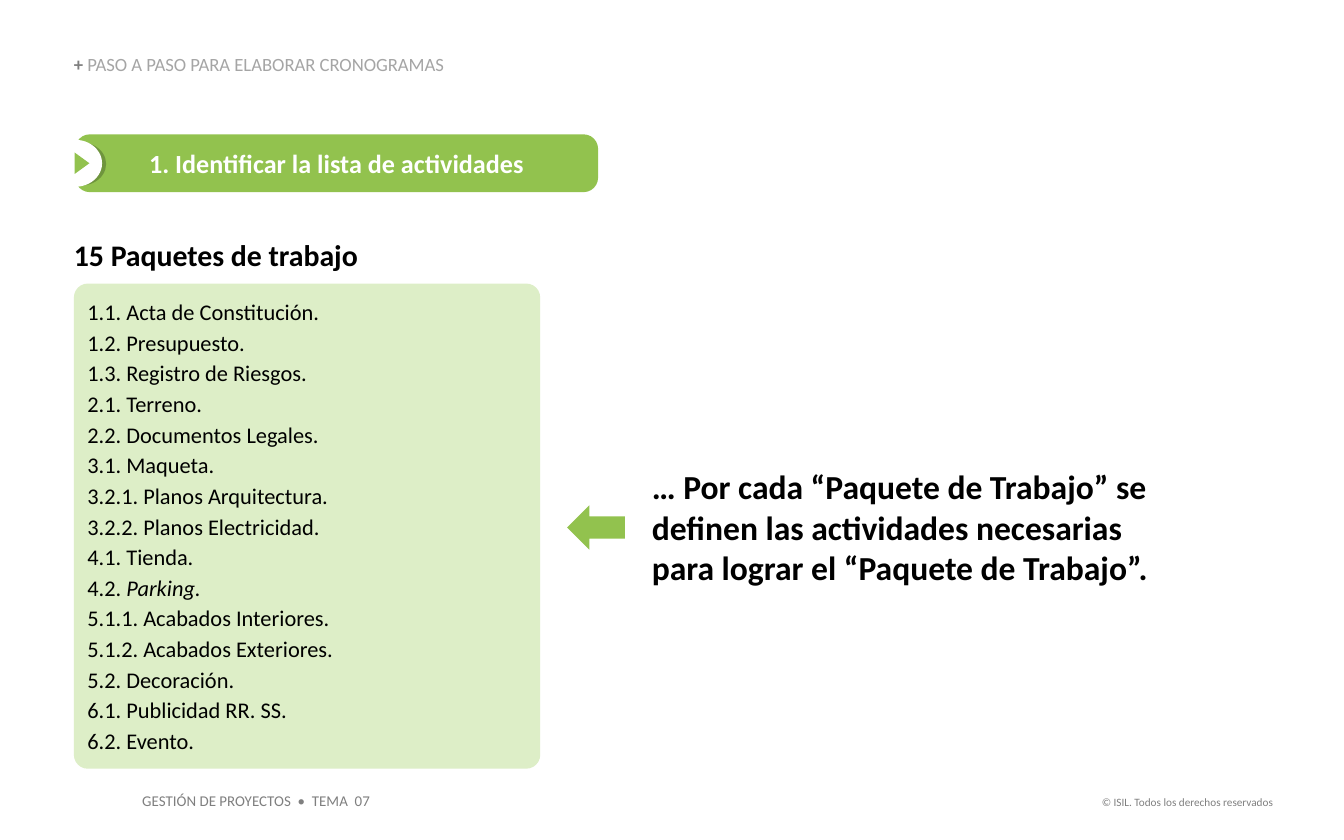
from lxml import etree
from pptx import Presentation
from pptx import util as u
from pptx.dml import color
from pptx.enum import shapes, text

SCALE = 9144
FONT = "Calibri"
GREEN, SHADE, PALE = "92C24E", "6F953D", "DDEEC7"
BLACK, WHITE, GRAY, LIGHT_GRAY = "000000", "FFFFFF", "7F7F7F", "A5A5A5"
INSETS = (10, 5, 10, 5)
PACKAGES = [
    "1.1. Acta de Constitución.",
    "1.2. Presupuesto.",
    "1.3. Registro de Riesgos.",
    "2.1. Terreno.",
    "2.2. Documentos Legales.",
    "3.1. Maqueta.",
    "3.2.1. Planos Arquitectura.",
    "3.2.2. Planos Electricidad.",
    "4.1. Tienda.",
    "4.2. Parking.",
    "5.1.1. Acabados Interiores.",
    "5.1.2. Acabados Exteriores.",
    "5.2. Decoración.",
    "6.1. Publicidad RR. SS.",
    "6.2. Evento.",
]
ITALIC_WORD = "Parking."


def px(value):
    return u.Emu(value * SCALE)


def rgb(value):
    return color.RGBColor.from_string(value)


class SlideBuilder:
    def __init__(self, slide):
        self.slide = slide

    def place(self, shape, box):
        shape.left, shape.top, shape.width, shape.height = map(px, box)

    def frame(self, shape, insets, anchor):
        frame = shape.text_frame
        frame.word_wrap = True
        frame.auto_size = text.MSO_AUTO_SIZE.NONE
        frame.vertical_anchor = anchor
        (frame.margin_left, frame.margin_top,
         frame.margin_right, frame.margin_bottom) = map(px, insets)
        return frame

    def style(self, run, size, fill, bold=False, italic=False):
        font = run.font
        font.name, font.size = FONT, u.Pt(size)
        font.bold, font.italic = bold, italic
        font.color.rgb = rgb(fill)

    def caption(self, shape, words, size, fill, bold=False, align=text.PP_ALIGN.LEFT,
                insets=(0, 0, 0, 0), anchor=text.MSO_ANCHOR.TOP):
        frame = self.frame(shape, insets, anchor)
        frame.text = words
        paragraph = frame.paragraphs[0]
        paragraph.alignment = align
        self.style(paragraph.runs[0], size, fill, bold)

    def label(self, box, words, size, fill, **options):
        shape = self.slide.shapes.add_textbox(*map(px, box))
        self.caption(shape, words, size, fill, **options)

    def shape(self, kind, box, fill, rotation=0, corner=None):
        shape = self.slide.shapes.add_shape(kind, *map(px, box))
        shape.shadow.inherit = False
        shape.fill.solid()
        shape.fill.fore_color.rgb = rgb(fill)
        shape.line.fill.background()
        shape.rotation = rotation
        if corner is not None:
            shape.adjustments[0] = corner
        return shape

    def title(self, box, pieces, size):
        shape = self.slide.shapes.title
        self.place(shape, box)
        frame = self.frame(shape, (0, 0, 0, 0), text.MSO_ANCHOR.BOTTOM)
        paragraph = frame.paragraphs[0]
        paragraph.alignment = text.PP_ALIGN.LEFT
        paragraph.line_spacing = 0.9
        for words, fill, bold in pieces:
            run = paragraph.add_run()
            run.text = words
            self.style(run, size, fill, bold)

    def body(self, box, items, size, gap):
        shape = self.slide.placeholders[1]
        self.slide.shapes._spTree.append(shape._element)
        self.place(shape, box)
        frame = self.frame(shape, INSETS, text.MSO_ANCHOR.MIDDLE)
        for index, item in enumerate(items):
            paragraph = frame.add_paragraph() if index else frame.paragraphs[0]
            properties = paragraph._p.get_or_add_pPr()
            properties.set("marL", "0")
            properties.set("indent", "0")
            namespace = etree.QName(properties).namespace
            etree.SubElement(properties, f"{{{namespace}}}buNone")
            paragraph.space_before = u.Pt(gap if index else 0)
            plain, word, _ = item.partition(ITALIC_WORD)
            for words in filter(None, (plain, word)):
                run = paragraph.add_run()
                run.text = words
                self.style(run, size, BLACK, italic=words == ITALIC_WORD)


def main():
    presentation = Presentation()
    presentation.slide_width, presentation.slide_height = px(1000), px(625)
    slide = presentation.slides.add_slide(presentation.slide_layouts[1])
    builder = SlideBuilder(slide)
    kinds = shapes.MSO_SHAPE

    builder.label((791, 587, 166, 20), "© ISIL. Todos los derechos reservados", 6, GRAY,
                  align=text.PP_ALIGN.RIGHT, insets=INSETS)
    builder.label((96, 584, 190, 24), "GESTIÓN DE PROYECTOS  •  TEMA  07", 8, GRAY,
                  insets=INSETS)
    builder.title((55, 41, 334, 15),
                  [("+ ", GRAY, True),
                   ("PASO A PASO PARA ELABORAR CRONOGRAMAS", LIGHT_GRAY, False)], 10)

    banner = builder.shape(kinds.ROUNDED_RECTANGLE, (56, 100, 389, 43), GREEN, corner=0.25)
    builder.caption(banner, "1. Identificar la lista de actividades", 14, WHITE, bold=True,
                    align=text.PP_ALIGN.CENTER, insets=INSETS, anchor=text.MSO_ANCHOR.MIDDLE)
    builder.shape(kinds.OVAL, (42, 106, 37, 32), SHADE)
    builder.shape(kinds.OVAL, (36, 104, 40, 35), WHITE)
    builder.shape(kinds.ISOSCELES_TRIANGLE, (53, 116, 16, 11), GREEN, rotation=90)

    builder.label((55, 176, 390, 27), "15 Paquetes de trabajo", 16, BLACK, bold=True)
    panel = (55, 211, 347, 361)
    builder.shape(kinds.ROUNDED_RECTANGLE, panel, PALE, corner=0.03)
    builder.body(panel, PACKAGES, 12, 2)

    builder.shape(kinds.RIGHT_ARROW, (422, 376, 43, 33), GREEN, rotation=180)
    builder.label((485, 347, 385, 91),
                  "… Por cada “Paquete de Trabajo” se definen las actividades necesarias "
                  "para lograr el “Paquete de Trabajo”.", 18, BLACK, bold=True)

    presentation.save("out.pptx")


if __name__ == "__main__":
    main()
